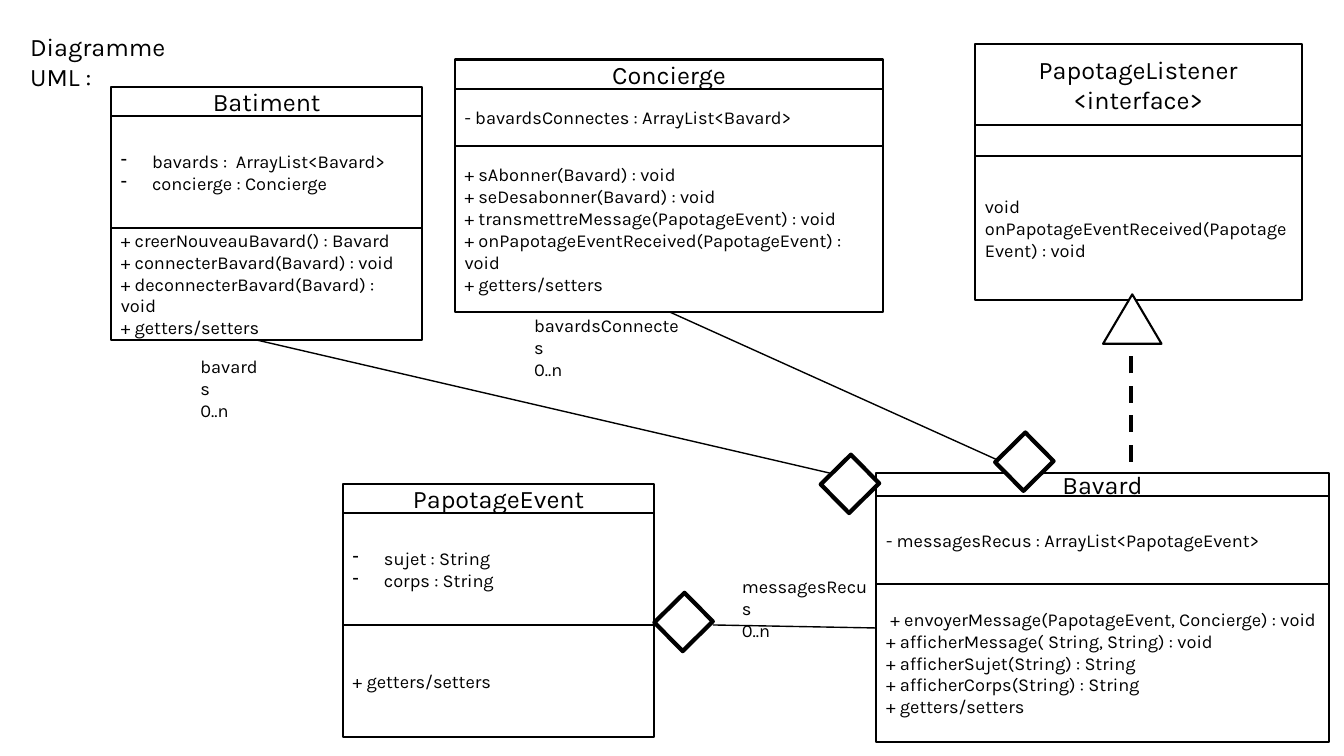
import lxml.etree
import pptx
import pptx.dml.color
import pptx.enum.dml
import pptx.enum.shapes
import pptx.enum.text
import pptx.oxml.ns
import pptx.util

Inches = pptx.util.Inches
Pt = pptx.util.Pt
Shape = pptx.enum.shapes.MSO_SHAPE
Align = pptx.enum.text.PP_ALIGN
Anchor = pptx.enum.text.MSO_ANCHOR
BLACK = pptx.dml.color.RGBColor(0, 0, 0)
WHITE = pptx.dml.color.RGBColor(255, 255, 255)


def add_tag(node, name, **attrs):
    return lxml.etree.SubElement(node, pptx.oxml.ns.qn(name), attrs)


class Board:
    font = "Karla"
    big = 18
    small = 13

    def __init__(self, slide):
        self.slide = slide

    def put_text(self, frame, lines, size, align=Align.LEFT, bullet=False):
        frame.word_wrap = True
        for i, line in enumerate(lines):
            para = frame.paragraphs[0] if i == 0 else frame.add_paragraph()
            para.text = line
            para.alignment = align
            para.font.name = self.font
            para.font.size = Pt(size)
            para.font.color.rgb = BLACK
            if bullet:
                props = para._p.get_or_add_pPr()
                props.set("marL", str(Inches(0.31)))
                props.set("indent", str(Inches(-0.31)))
                # The bullet must precede the default run properties
                mark = add_tag(props, "a:buChar", char="-")
                props.insert(0, mark)

    def shape(self, kind, x, y, w, h, weight=1.5, turn=0, home=None):
        home = home or self.slide
        item = home.shapes.add_shape(kind, Inches(x), Inches(y), Inches(w), Inches(h))
        item.rotation = turn
        item.shadow.inherit = False
        item.fill.solid()
        item.fill.fore_color.rgb = WHITE
        item.line.color.rgb = BLACK
        item.line.width = Pt(weight)
        return item

    def entity(self, x, y, w, heights, title, fields, methods, bullet=False):
        group = self.slide.shapes.add_group_shape()
        parts = [
            (title, self.big, Align.CENTER, False),
            (fields, self.small, Align.LEFT, bullet),
            (methods, self.small, Align.LEFT, False),
        ]
        for h, (lines, size, align, dash) in zip(heights, parts):
            box = self.shape(Shape.RECTANGLE, x, y, w, h, home=group)
            box.text_frame.vertical_anchor = Anchor.MIDDLE
            self.put_text(box.text_frame, lines, size, align, dash)
            y += h

    def label(self, x, y, w, h, lines, size=small):
        box = self.slide.shapes.add_textbox(Inches(x), Inches(y), Inches(w), Inches(h))
        self.put_text(box.text_frame, lines, size)

    def link(self, x1, y1, x2, y2, weight=1, dash=False, arrow=True):
        line = self.slide.shapes.add_connector(
            pptx.enum.shapes.MSO_CONNECTOR.STRAIGHT,
            Inches(x1), Inches(y1), Inches(x2), Inches(y2))
        line.line.color.rgb = BLACK
        line.line.width = Pt(weight)
        if dash:
            line.line.dash_style = pptx.enum.dml.MSO_LINE.DASH
        props = line._element.spPr
        if arrow:
            add_tag(props.find(pptx.oxml.ns.qn("a:ln")), "a:tailEnd", type="triangle")
        add_tag(props, "a:effectLst")

    def diamond(self, x, y):
        self.shape(Shape.RECTANGLE, x, y, 0.42, 0.4, weight=3, turn=315.4)


def main():
    deck = pptx.Presentation()
    deck.slide_width = Inches(13.33)
    deck.slide_height = Inches(7.5)
    board = Board(deck.slides.add_slide(deck.slide_layouts[6]))
    access = "+ getters/setters"
    count = "0..n"

    # Lower classes and the interface
    board.entity(8.69, 4.69, 4.49, (0.23, 0.87, 1.57), ["Bavard"],
                 ["- messagesRecus : ArrayList<PapotageEvent>"],
                 [" + envoyerMessage(PapotageEvent, Concierge) : void",
                  "+ afficherMessage( String, String) : void",
                  "+ afficherSujet(String) : String",
                  "+ afficherCorps(String) : String", access])
    board.entity(9.67, 0.44, 3.24, (0.8, 0.31, 1.43),
                 ["PapotageListener", "<interface>"], [],
                 ["void onPapotageEventReceived(PapotageEvent) : void"])
    board.entity(3.4, 4.8, 3.09, (0.29, 1.11, 1.11), ["PapotageEvent"],
                 ["sujet : String", "corps : String"], [access], bullet=True)

    # Heading
    board.label(0.2, 0.26, 2.08, 0.4, ["Diagramme UML :"], board.big)

    # Aggregation links
    board.link(8.69, 6.23, 7.07, 6.2, arrow=False)
    board.diamond(6.57, 5.97)
    board.label(7.26, 5.66, 1.5, 0.54, ["messagesRecus", count])
    board.link(2.36, 3.33, 8.69, 4.8)
    board.link(6.63, 3.09, 10.24, 4.72)

    # Upper classes
    board.entity(1.1, 0.86, 3.09, (0.29, 1.11, 1.11), ["Batiment"],
                 ["bavards :  ArrayList<Bavard>", "concierge : Concierge"],
                 ["+ creerNouveauBavard() : Bavard",
                  "+ connecterBavard(Bavard) : void",
                  "+ deconnecterBavard(Bavard) : void", access], bullet=True)
    board.entity(4.51, 0.59, 4.25, (0.29, 0.57, 1.65), ["Concierge"],
                 ["- bavardsConnectes : ArrayList<Bavard>"],
                 ["+ sAbonner(Bavard) : void",
                  "+ seDesabonner(Bavard) : void",
                  "+ transmettreMessage(PapotageEvent) : void",
                  "+ onPapotageEventReceived(PapotageEvent) : void", access])

    # Interface link, end marks and labels
    board.link(11.22, 4.58, 11.22, 2.98, weight=3, dash=True)
    board.shape(Shape.ISOSCELES_TRIANGLE, 10.94, 2.92, 0.58, 0.49)
    board.diamond(8.22, 4.6)
    board.diamond(9.95, 4.38)
    board.label(1.89, 3.48, 0.83, 0.54, ["bavards", count])
    board.label(5.2, 3.07, 1.69, 0.54, ["bavardsConnectes", count])

    deck.save("out.pptx")


if __name__ == "__main__":
    main()
